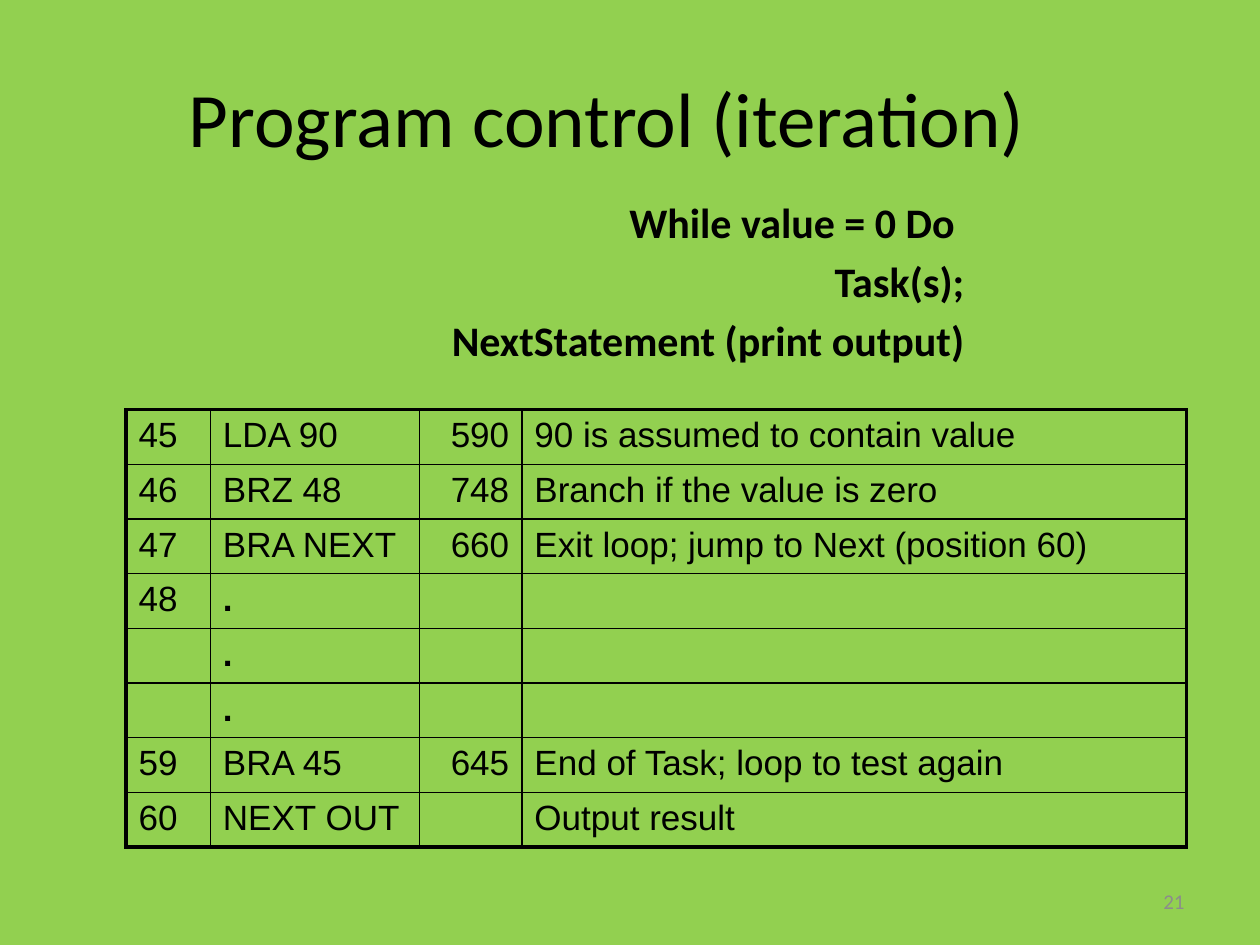
from dataclasses import dataclass

from lxml import etree
from pptx import Presentation
from pptx.dml.color import RGBColor
from pptx.enum import text
from pptx.oxml import ns
from pptx.util import Cm, Pt


@dataclass(frozen=True)
class Theme:
    background: str = "92D050"
    ink: str = "000000"
    muted: str = "8C8C8C"
    heading_font: str = "Calibri"
    table_font: str = "Arial"
    title_size: float = 44
    code_size: float = 24
    table_size: float = 20
    number_size: float = 12
    outer_line: float = 2.25
    inner_line: float = 1


THEME = Theme()
LEFT, CENTER, RIGHT = text.PP_ALIGN.LEFT, text.PP_ALIGN.CENTER, text.PP_ALIGN.RIGHT
TOP, MIDDLE = text.MSO_ANCHOR.TOP, text.MSO_ANCHOR.MIDDLE

PSEUDOCODE = ["While value = 0 Do ", "Task(s);", "NextStatement (print output)"]
COLUMN_WIDTHS = [1.7, 4.22, 2.06, 13.4]
COLUMN_ALIGNS = [LEFT, LEFT, RIGHT, LEFT]
ROW_HEIGHT = 1.04
PROGRAM = [
    ("45", "LDA 90", "590", "90 is assumed to contain value"),
    ("46", "BRZ 48", "748", "Branch if the value is zero"),
    ("47", "BRA NEXT", "660", "Exit loop; jump to Next (position 60)"),
    ("48", ".", "", ""),
    ("", ".", "", ""),
    ("", ".", "", ""),
    ("59", "BRA 45", "645", "End of Task; loop to test again"),
    ("60", "NEXT OUT", "", "Output result"),
]


def style(paragraph, font_name, size, color, align, bold=False):
    paragraph.alignment = align
    for font in [paragraph.font] + [run.font for run in paragraph.runs]:
        font.name, font.size, font.bold = font_name, Pt(size), bold
        font.color.rgb = RGBColor.from_string(color)


def add_lines(slide, box, lines, size, color, align, anchor, bold=False, gap=0):
    frame = slide.shapes.add_textbox(*map(Cm, box)).text_frame
    frame.word_wrap = True
    frame.vertical_anchor = anchor
    frame.text = "\n".join(lines)
    for index, paragraph in enumerate(frame.paragraphs):
        style(paragraph, THEME.heading_font, size, color, align, bold)
        paragraph.space_before = Pt(gap if index else 0)


def add_title(slide, box):
    add_lines(slide, box, ["Program control (iteration)\t"], THEME.title_size,
              THEME.ink, CENTER, MIDDLE)


def add_pseudocode(slide, box):
    add_lines(slide, box, PSEUDOCODE, THEME.code_size, THEME.ink, RIGHT, TOP,
              bold=True, gap=0.2 * THEME.code_size)


def add_slide_number(slide, box):
    add_lines(slide, box, ["21"], THEME.number_size, THEME.muted, RIGHT, MIDDLE)


def set_borders(cell, outer_sides):
    """Draw all four sides, with the heavier line on the outer ones."""
    properties = cell._tc.get_or_add_tcPr()
    for position, side in enumerate("LRTB"):
        width = THEME.outer_line if side in outer_sides else THEME.inner_line
        line = etree.Element(ns.qn(f"a:ln{side}"), w=str(Pt(width)))
        fill = etree.SubElement(line, ns.qn("a:solidFill"))
        etree.SubElement(fill, ns.qn("a:srgbClr"), val=THEME.ink)
        properties.insert(position, line)


def add_program_table(slide, left, top):
    rows, columns = len(PROGRAM), len(COLUMN_WIDTHS)
    table = slide.shapes.add_table(
        rows, columns, Cm(left), Cm(top),
        Cm(sum(COLUMN_WIDTHS)), Cm(rows * ROW_HEIGHT)).table
    table.first_row = table.horz_banding = False
    for column, width in zip(table.columns, COLUMN_WIDTHS):
        column.width = Cm(width)
    for r, instruction in enumerate(PROGRAM):
        table.rows[r].height = Cm(ROW_HEIGHT)
        for c, entry in enumerate(instruction):
            cell = table.cell(r, c)
            cell.text = entry
            cell.fill.background()
            style(cell.text_frame.paragraphs[0], THEME.table_font, THEME.table_size,
                  THEME.ink, COLUMN_ALIGNS[c], bold=entry == ".")
            edges = {"L": c == 0, "R": c == columns - 1,
                     "T": r == 0, "B": r == rows - 1}
            set_borders(cell, [side for side, outer in edges.items() if outer])


def main():
    presentation = Presentation()
    presentation.slide_width, presentation.slide_height = Cm(25.4), Cm(19.05)
    slide = presentation.slides.add_slide(presentation.slide_layouts[6])
    slide.background.fill.solid()
    slide.background.fill.fore_color.rgb = RGBColor.from_string(THEME.background)
    add_title(slide, (1.27, 0.76, 22.86, 3.18))
    add_pseudocode(slide, (7.62, 3.84, 12.07, 4.04))
    add_program_table(slide, 2.54, 8.26)
    add_slide_number(slide, (18.2, 17.66, 5.93, 1.01))
    presentation.save("out.pptx")


if __name__ == "__main__":
    main()
